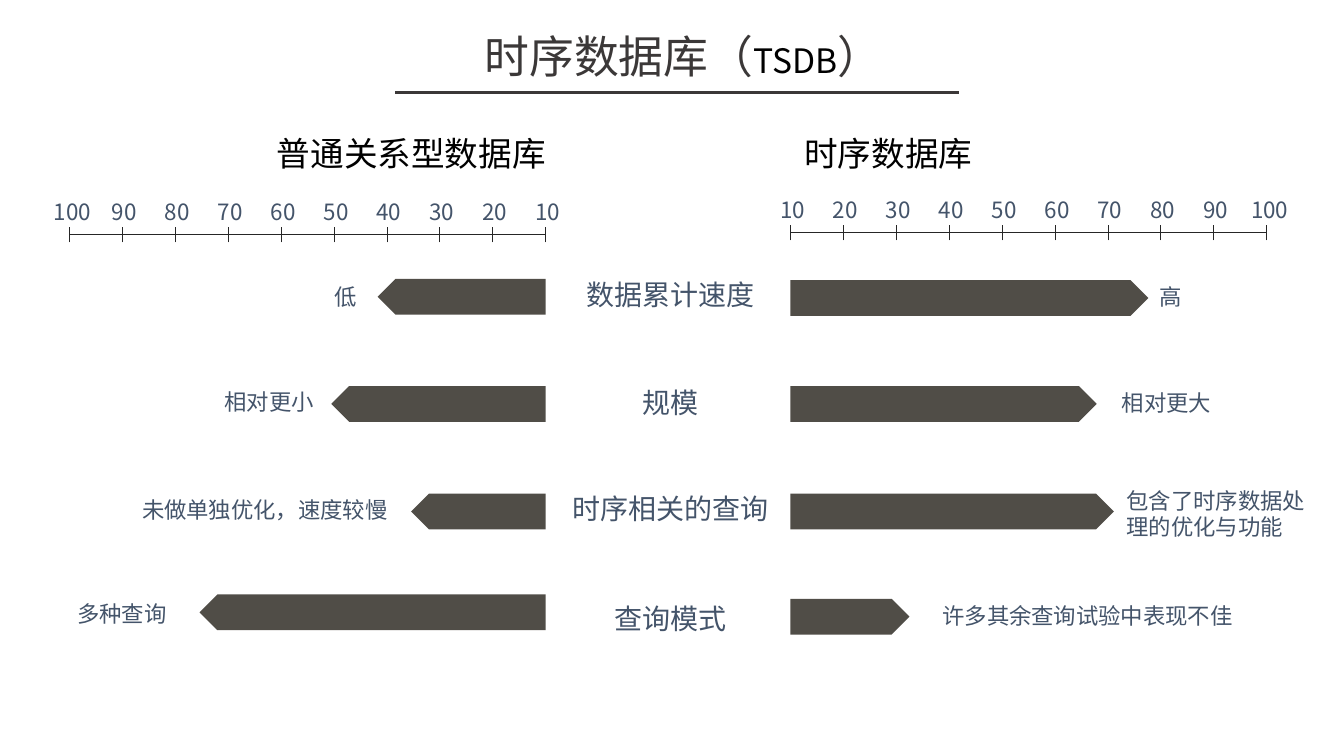
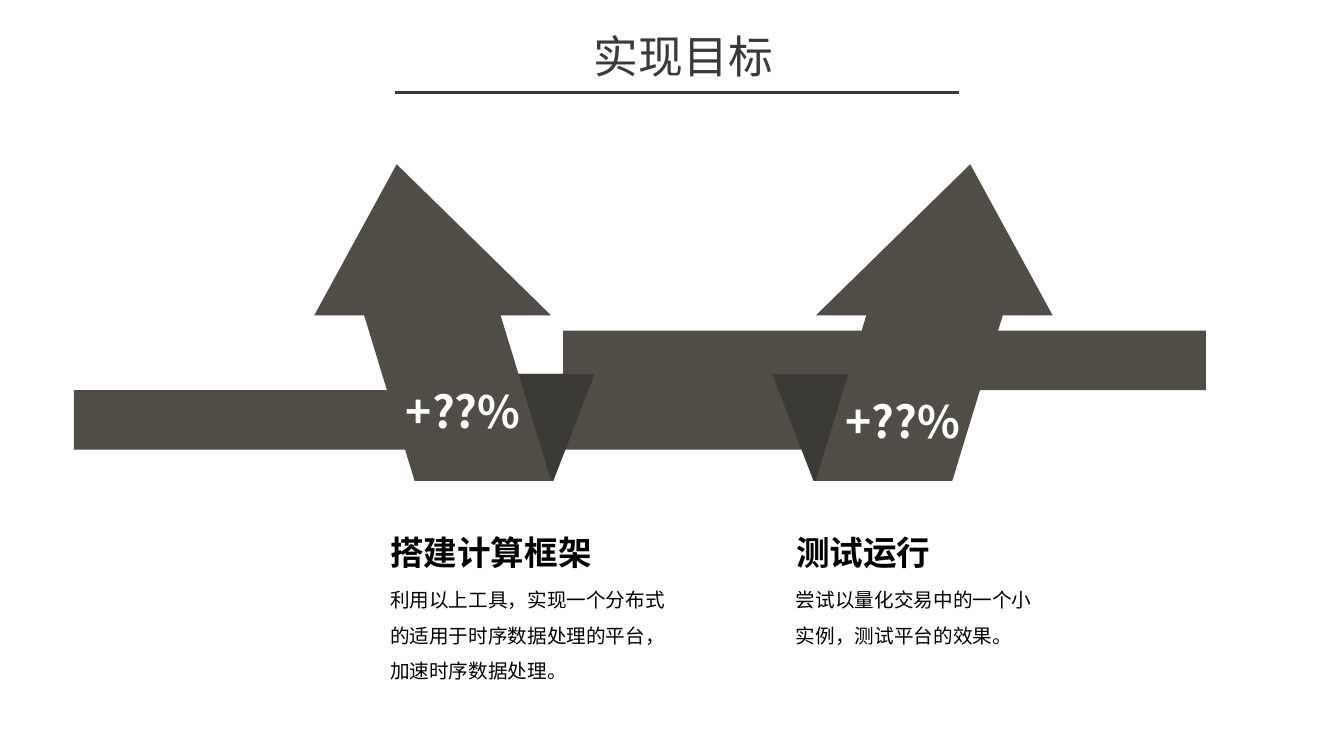
"""Build two slides: a time-series database comparison and the project goals."""
from lxml.etree import SubElement
from pptx import Presentation
from pptx.dml.color import RGBColor
from pptx.enum.shapes import MSO_CONNECTOR, MSO_SHAPE as SHAPE
from pptx.enum.text import MSO_AUTO_SIZE, PP_ALIGN
from pptx.oxml.ns import qn
from pptx.util import Cm, Pt

FONT = "Noto Sans CJK SC"
INK = RGBColor(0x3B, 0x38, 0x38)
AXIS = RGBColor(0x26, 0x26, 0x26)
LABEL = RGBColor(0x44, 0x54, 0x6A)
BAR = RGBColor(0x50, 0x4D, 0x47)
FOLD = RGBColor(0x3C, 0x3A, 0x35)
BLACK = RGBColor(0, 0, 0)
WHITE = RGBColor(0xFF, 0xFF, 0xFF)

COMPARISON_TITLE = [("时序数据库（", 32, INK), ("TSDB", 24, BLACK), ("）", 32, INK)]
GOALS_TITLE = [("实现目标", 32, INK)]

TICKS = range(10, 101, 10)
AXIS_LENGTH = 12
BAR_HEIGHT = 0.9
TOPIC_CENTER = 16.9
TOPICS = [("数据累计速度", 6.86), ("规模", 9.58), ("时序相关的查询", 12.27), ("查询模式", 15.04)]
SIDES = [
    dict(heading="普通关系型数据库", heading_left=6.73, heading_width=7.32,
         origin=13.75, direction=-1, axis_top=5.91,
         bars=[(7.03, 4.23), (9.73, 5.4), (12.44, 3.39), (14.98, 8.72)],
         notes=[("低", 8.18, 7.01), ("相对更小", 5.41, 9.65),
                ("未做单独优化，速度较慢", 3.33, 12.37), ("多种查询", 1.7, 14.99)]),
    dict(heading="时序数据库", heading_left=20.02, heading_width=6.65,
         origin=19.92, direction=1, axis_top=5.86,
         bars=[(7.06, 9.02), (9.73, 7.72), (12.44, 8.15), (15.09, 3)],
         notes=[("高", 28.96, 7.01), ("相对更大", 28.02, 9.68),
                ("包含了时序数据处\n理的优化与功能", 28.14, 12.14),
                ("许多其余查询试验中表现不佳", 23.5, 15.04)]),
]

RIBBONS = [(14.19, 8.33, 16.2, 1.5), (1.86, 9.83, 18.8, 1.5)]
MIRROR_SUM = 34.45
ARROW_PARTS = [
    (SHAPE.PARALLELOGRAM, 11.38, 9.42, 4.47, 1.35, 0.639, BAR, True),
    (SHAPE.PARALLELOGRAM, 10.52, 9.42, 4.47, 2.7, 0.387, FOLD, False),
    (SHAPE.ISOSCELES_TRIANGLE, 7.92, 4.14, 5.97, 3.81, 0.652, BAR, True),
    (SHAPE.PARALLELOGRAM, 9.17, 7.92, 4.72, 4.2, 0.305, BAR, True),
]
GOALS = [
    dict(gain="+??%", gain_left=9.98, gain_top=9.55, mirrored=False,
         heading="搭建计算框架", left=9.58, width=7.75, height=2.84,
         detail="利用以上工具，实现一个分布式的适用于时序数据处理的平台，加速时序数据处理。"),
    dict(gain="+??%", gain_left=21.06, gain_top=9.8, mirrored=True,
         heading="测试运行", left=19.81, width=6.71, height=1.96,
         detail="尝试以量化交易中的一个小实例，测试平台的效果。"),
]


def add_text(slide, text, left, top, width, height, size=16, color=LABEL, bold=False,
             align=PP_ALIGN.LEFT, wrap=False, spacing=None, grow=True):
    box = slide.shapes.add_textbox(Cm(left), Cm(top), Cm(width), Cm(height))
    frame = box.text_frame
    frame.word_wrap = wrap
    frame.auto_size = MSO_AUTO_SIZE.SHAPE_TO_FIT_TEXT if grow else MSO_AUTO_SIZE.NONE
    if isinstance(text, str):
        lines = [[(line, size, color)] for line in text.split("\n")]
    else:
        lines = [text]
    for index, pieces in enumerate(lines):
        paragraph = frame.add_paragraph() if index else frame.paragraphs[0]
        paragraph.alignment = align
        if spacing:
            paragraph.line_spacing = spacing
        for words, points, ink in pieces:
            run = paragraph.add_run()
            run.text = words
            run.font.size = Pt(points)
            run.font.bold = bold
            run.font.color.rgb = ink
            run.font.name = FONT
            SubElement(run.font._element, qn("a:ea"), typeface=FONT)


def text_width(text, size):
    longest = max(len(line) for line in text.split("\n"))
    return longest * Pt(size).cm + 0.51


def add_line(slide, x1, y1, x2, y2, color, weight):
    line = slide.shapes.add_connector(MSO_CONNECTOR.STRAIGHT, Cm(x1), Cm(y1), Cm(x2), Cm(y2))
    line.line.color.rgb = color
    line.line.width = Pt(weight)
    SubElement(line._element.spPr, qn("a:effectLst"))


def add_block(slide, preset, left, top, width, height, color=BAR, adjust=None, flip=False):
    block = slide.shapes.add_shape(preset, Cm(left), Cm(top), Cm(width), Cm(height))
    block.shadow.inherit = False
    block.fill.solid()
    block.fill.fore_color.rgb = color
    block.line.fill.background()
    if adjust is not None:
        block.adjustments[0] = adjust
    if flip:
        block._element.spPr.find(qn("a:xfrm")).set("flipH", "1")


def add_titled_slide(deck, title):
    slide = deck.slides.add_slide(deck.slide_layouts[6])
    add_text(slide, title, 9.53, 0.61, 15.39, 1.63, align=PP_ALIGN.CENTER, wrap=True)
    add_line(slide, 9.96, 2.34, 24.18, 2.34, INK, 2)
    return slide


def add_side(slide, side):
    origin, direction, axis_top = side["origin"], side["direction"], side["axis_top"]
    far_end = origin + direction * AXIS_LENGTH
    add_line(slide, min(origin, far_end), axis_top, max(origin, far_end), axis_top, AXIS, 0.5)
    for index, value in enumerate(TICKS):
        x = origin + direction * index * AXIS_LENGTH / (len(TICKS) - 1)
        add_line(slide, x, axis_top + 0.2, x, axis_top - 0.2, AXIS, 0.5)
        offset, width = (0.64, 1.52) if value == 100 else (0.51, 1.17)
        add_text(slide, str(value), x - offset, axis_top - 1.03, width, 0.94)
    for top, length in side["bars"]:
        left = min(origin, origin + direction * length)
        add_block(slide, SHAPE.PENTAGON, left, top, length, BAR_HEIGHT, flip=direction < 0)
    for note, left, top in side["notes"]:
        height = 0.94 + 0.69 * note.count("\n")
        add_text(slide, note, left, top, text_width(note, 16), height)
    add_text(slide, side["heading"], side["heading_left"], 3.23, side["heading_width"], 1.27,
             size=24, color=BLACK, wrap=True)


def add_goal(slide, goal):
    mirrored = goal["mirrored"]
    for preset, left, top, width, height, adjust, color, flip in ARROW_PARTS:
        if mirrored:
            left = MIRROR_SUM - left - width
        add_block(slide, preset, left, top, width, height, color, adjust, flip != mirrored)
    add_text(slide, goal["gain"], goal["gain_left"], goal["gain_top"], 3.15, 1.45,
             size=31.7, color=WHITE, bold=True, grow=False)
    add_text(slide, goal["heading"], goal["left"], 13.28, text_width(goal["heading"], 24), 1.27,
             size=24, color=BLACK, bold=True)
    add_text(slide, goal["detail"], goal["left"], 14.4, goal["width"], goal["height"],
             size=14, color=BLACK, wrap=True, spacing=1.5)


def main():
    deck = Presentation()
    deck.slide_width, deck.slide_height = Cm(33.87), Cm(19.05)

    comparison = add_titled_slide(deck, COMPARISON_TITLE)
    for side in SIDES:
        add_side(comparison, side)
    for topic, top in TOPICS:
        width = text_width(topic, 20)
        add_text(comparison, topic, TOPIC_CENTER - width / 2, top, width, 1.12, size=20)

    goals = add_titled_slide(deck, GOALS_TITLE)
    for ribbon in RIBBONS:
        add_block(goals, SHAPE.RECTANGLE, *ribbon)
    for goal in GOALS:
        add_goal(goals, goal)

    deck.save("out.pptx")


if __name__ == "__main__":
    main()
